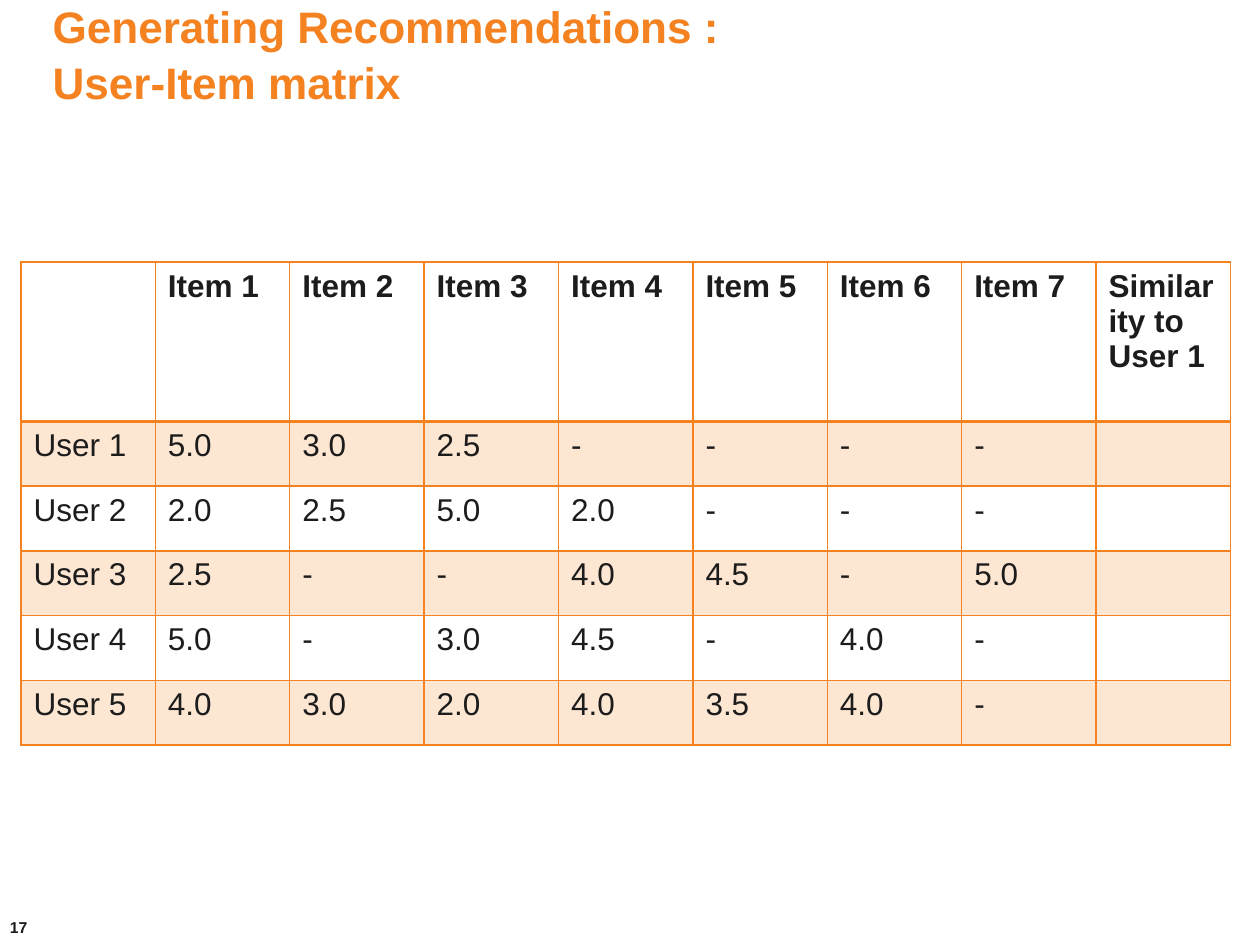
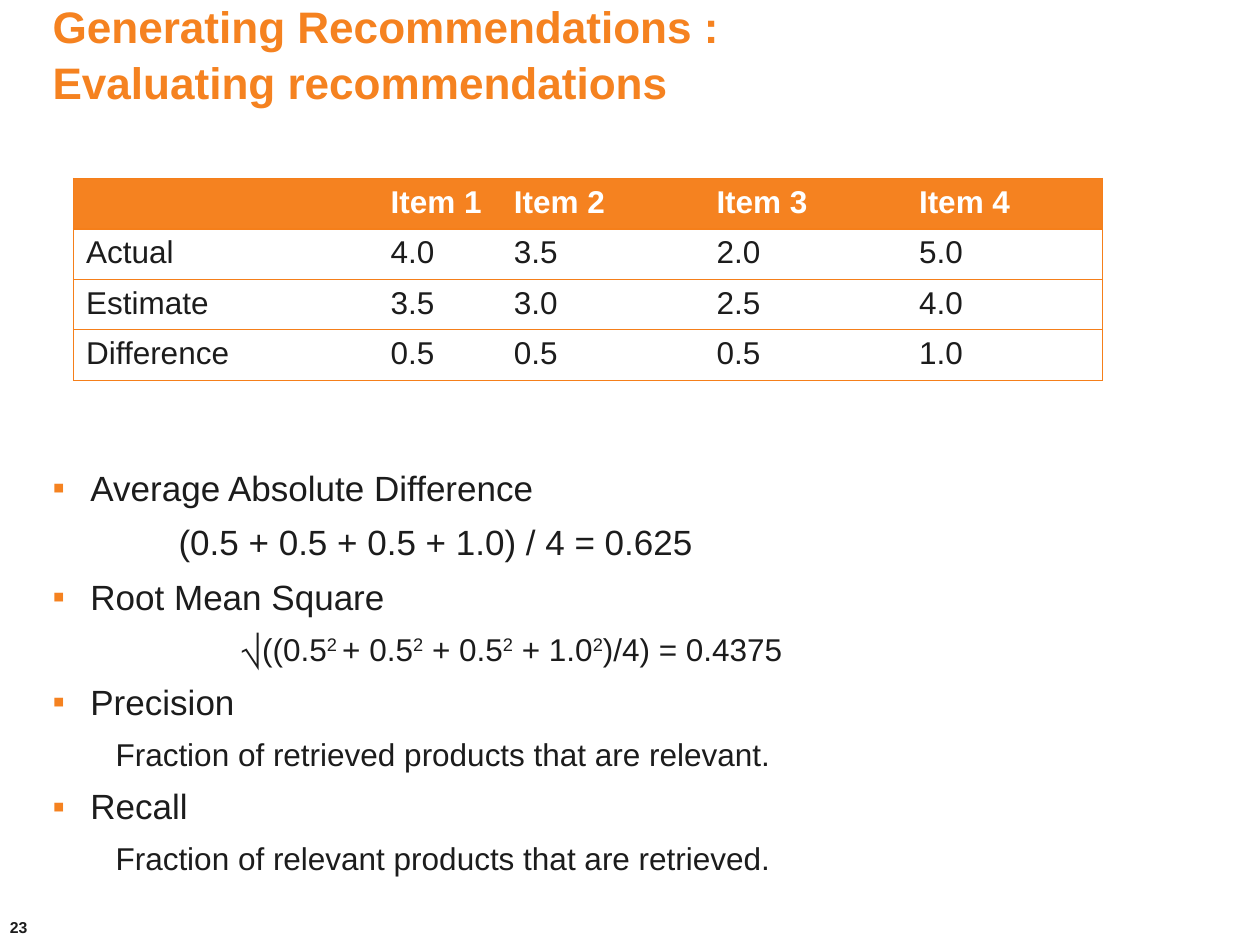
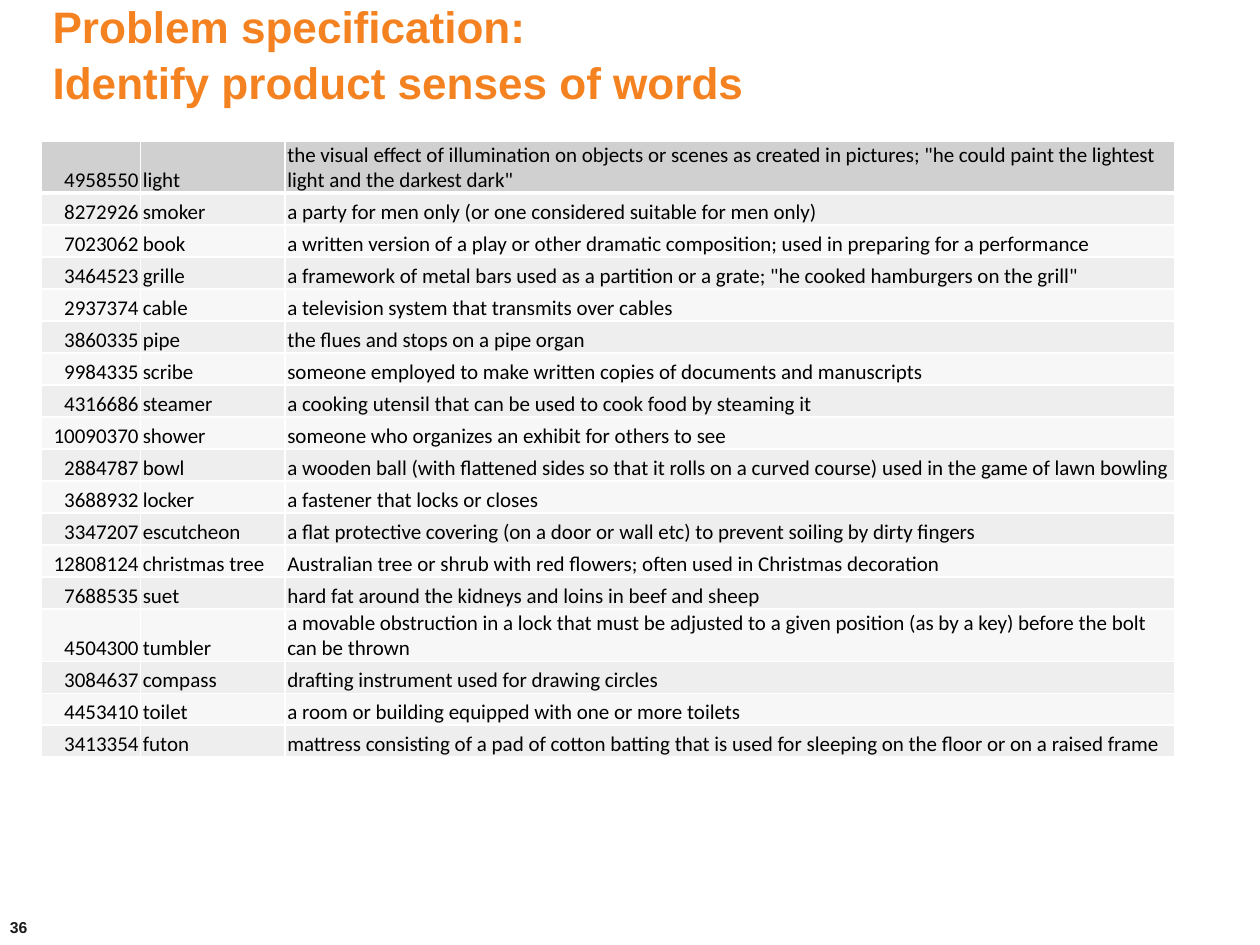
import pptx
import pptx.dml.color
import pptx.enum.text
import pptx.oxml
import pptx.oxml.ns
import pptx.util
from lxml import etree

Pt = pptx.util.Pt
ANCHOR = pptx.enum.text.MSO_ANCHOR
ALIGN = pptx.enum.text.PP_ALIGN

ORANGE, RULE_ORANGE, TINT = "F58220", "F57F1A", "FDE6D2"
INK, BLACK, WHITE = "1C1C1C", "000000", "FFFFFF"
SENSE_HEAD, SENSE_BANDS = "D0D0D0", ("EEEEEE", "F7F7F7")
LINE_SPACING = 1.05
CELL_INSETS = (7.2, 3.6, 7.2, 3.6)
SENSE_INSETS = (1.2, 0.7, 1.2, 0)

RATINGS = [
    ["", *[f"Item {number}" for number in range(1, 8)], "Similarity to User 1"],
    ["User 1", "5.0", "3.0", "2.5", "-", "-", "-", "-", ""],
    ["User 2", "2.0", "2.5", "5.0", "2.0", "-", "-", "-", ""],
    ["User 3", "2.5", "-", "-", "4.0", "4.5", "-", "5.0", ""],
    ["User 4", "5.0", "-", "3.0", "4.5", "-", "4.0", "-", ""],
    ["User 5", "4.0", "3.0", "2.0", "4.0", "3.5", "4.0", "-", ""],
]

ERRORS = [
    ["", "Item 1", "Item 2", "Item 3", "Item 4"],
    ["Actual", "4.0", "3.5", "2.0", "5.0"],
    ["Estimate", "3.5", "3.0", "2.5", "4.0"],
    ["Difference", "0.5", "0.5", "0.5", "1.0"],
]

# (indent, size, bulleted, text); "^" switches superscript on and off
METRICS = [
    (21.6, 20, True, "Average Absolute Difference"),
    (72, 20, False, "(0.5 + 0.5 + 0.5 + 1.0) / 4 = 0.625"),
    (21.6, 20, True, "Root Mean Square"),
    (108, 18, False, "⎷((0.5^2 ^+ 0.5^2^ + 0.5^2^ + 1.0^2^)/4) = 0.4375"),
    (21.6, 20, True, "Precision"),
    (36, 18, False, "Fraction of retrieved products that are relevant."),
    (21.6, 20, True, "Recall"),
    (36, 18, False, "Fraction of relevant products that are retrieved."),
]

SENSES = [
    ["4958550", "light", "the visual effect of illumination on objects or scenes as created in pictures; "
     "\"he could paint the lightest light and the darkest dark\""],
    ["8272926", "smoker", "a party for men only (or one considered suitable for men only)"],
    ["7023062", "book", "a written version of a play or other dramatic composition; "
     "used in preparing for a performance"],
    ["3464523", "grille", "a framework of metal bars used as a partition or a grate; "
     "\"he cooked hamburgers on the grill\""],
    ["2937374", "cable", "a television system that transmits over cables"],
    ["3860335", "pipe", "the flues and stops on a pipe organ"],
    ["9984335", "scribe", "someone employed to make written copies of documents and manuscripts"],
    ["4316686", "steamer", "a cooking utensil that can be used to cook food by steaming it"],
    ["10090370", "shower", "someone who organizes an exhibit for others to see"],
    ["2884787", "bowl", "a wooden ball (with flattened sides so that it rolls on a curved course) "
     "used in the game of lawn bowling"],
    ["3688932", "locker", "a fastener that locks or closes"],
    ["3347207", "escutcheon", "a flat protective covering (on a door or wall etc) "
     "to prevent soiling by dirty fingers"],
    ["12808124", "christmas tree", "Australian tree or shrub with red flowers; "
     "often used in Christmas decoration"],
    ["7688535", "suet", "hard fat around the kidneys and loins in beef and sheep"],
    ["4504300", "tumbler", "a movable obstruction in a lock that must be adjusted to a given position "
     "(as by a key) before the bolt can be thrown"],
    ["3084637", "compass", "drafting instrument used for drawing circles"],
    ["4453410", "toilet", "a room or building equipped with one or more toilets"],
    ["3413354", "futon", "mattress consisting of a pad of cotton batting that is used for sleeping "
     "on the floor or on a raised frame"],
]


def rgb(code):
    """Turn a hex string into a colour."""
    return pptx.dml.color.RGBColor.from_string(code)


def style(font, size, color, bold=False, face="Arial"):
    """Set the look of a font."""
    font.name, font.size, font.bold = face, Pt(size), bold
    font.color.rgb = rgb(color)


def add_child(parent, tag, **attributes):
    """Append a drawing element to a parent."""
    return etree.SubElement(parent, pptx.oxml.ns.qn(f"a:{tag}"), **attributes)


def add_text(slide, box, anchor):
    """Add a wrapping text frame in the box."""
    frame = slide.shapes.add_textbox(*map(Pt, box)).text_frame
    frame.word_wrap = True
    frame.vertical_anchor = anchor
    return frame


def add_slide(deck, title, number):
    """Add a slide with its title and page number."""
    slide = deck.slides.add_slide(deck.slide_layouts[6])
    heading = add_text(slide, (23, 0, 648, 59.8), ANCHOR.MIDDLE).paragraphs[0]
    heading.text = title
    heading.line_spacing = LINE_SPACING
    page = add_text(slide, (-1.4, 515.5, 168, 28.8), ANCHOR.MIDDLE).paragraphs[0]
    page.text = str(number)
    for run in heading.runs:
        style(run.font, 25.2, ORANGE, True)
    style(page.runs[0].font, 9, INK, True)
    return slide


def set_borders(cell, edges):
    """Draw the given (colour, width) edges in the order left, right, top, bottom."""
    properties = cell._tc.get_or_add_tcPr()
    for side, edge in zip("LRTB", edges):
        if edge:
            color, width = edge
            line = add_child(properties, f"ln{side}", w=str(Pt(width)))
            add_child(add_child(line, "solidFill"), "srgbClr", val=color)
        else:
            add_child(add_child(properties, f"ln{side}", w="0"), "noFill")


def add_grid(slide, box, rows, widths, heights, edges, fill, look, insets=CELL_INSETS, anchor=ANCHOR.TOP):
    """Add a table whose edges, fill and text look follow from the row and column."""
    grid = slide.shapes.add_table(len(rows), len(widths), *map(Pt, box)).table
    for column, width in zip(grid.columns, widths):
        column.width = Pt(width)
    for r, (row, height) in enumerate(zip(rows, heights)):
        grid.rows[r].height = Pt(height)
        for c, words in enumerate(row):
            cell = grid.cell(r, c)
            set_borders(cell, edges(r, c))
            cell.fill.solid()
            cell.fill.fore_color.rgb = rgb(fill(r))
            cell.margin_left, cell.margin_top, cell.margin_right, cell.margin_bottom = map(Pt, insets)
            cell.vertical_anchor = anchor
            cell.text = words
            style(cell.text_frame.paragraphs[0].font, **look(r))
            for run in cell.text_frame.paragraphs[0].runs:
                style(run.font, **look(r))
    return grid


def add_ratings(slide, box):
    """Add the user-item matrix."""
    left, top, width, height = box
    columns, users = len(RATINGS[0]), len(RATINGS) - 1
    header = height / 3
    thin, thick = (ORANGE, 1), (ORANGE, 2)
    add_grid(
        slide, box, RATINGS, [width / columns] * columns,
        [header - 1] + [(height - header + 1) / users] * users,
        lambda r, c: (thin, thin, thick if r == 1 else thin, thick if r == 0 else thin),
        lambda r: TINT if r % 2 else WHITE,
        lambda r: dict(size=18, color=INK, bold=r == 0))


def add_errors(slide, box):
    """Add the table of actual and estimated ratings."""
    left, top, width, height = box
    label, first, last = 174, 70.5, 112
    middle = (width - label - first - last) / 2
    rule = (RULE_ORANGE, 0.75)
    add_grid(
        slide, box, ERRORS, [label, first, middle, middle, last],
        [height / len(ERRORS)] * len(ERRORS),
        lambda r, c: (rule if c == 0 else None, rule if c == 4 else None, rule, rule),
        lambda r: WHITE if r else ORANGE,
        lambda r: dict(size=18, color=INK if r else WHITE, bold=r == 0))


def add_metrics(slide, box):
    """Add the list of evaluation measures."""
    frame = add_text(slide, box, ANCHOR.TOP)
    for index, (indent, size, bulleted, words) in enumerate(METRICS):
        measure = frame.add_paragraph() if index else frame.paragraphs[0]
        measure.line_spacing, measure.space_after = LINE_SPACING, Pt(6)
        properties = measure._p.get_or_add_pPr()
        properties.set("marL", str(Pt(indent)))
        properties.set("indent", str(Pt(-indent if bulleted else 0)))
        if bulleted:
            add_child(add_child(properties, "buClr"), "srgbClr", val=ORANGE)
            add_child(properties, "buFont", typeface="Arial")
            add_child(properties, "buChar", char="▪")
        else:
            add_child(properties, "buNone")
        for part, piece in enumerate(words.split("^")):
            run = measure.add_run()
            run.text = piece
            style(run.font, size, INK)
            if part % 2:
                run._r.get_or_add_rPr().set("baseline", "30000")


def add_senses(slide, box):
    """Add the table of word senses."""
    left, top, width, height = box
    number, word = 57, 82.6
    thin, thick = (WHITE, 1), (WHITE, 3)
    tall, tall_rows = 29.8, (0, 14)
    low = (height - tall * len(tall_rows)) / (len(SENSES) - len(tall_rows))
    grid = add_grid(
        slide, box, SENSES, [number, word, width - number - word],
        [tall if r in tall_rows else low for r in range(len(SENSES))],
        lambda r, c: (thin, thin, thick if r == 1 else thin, thick if r == 0 else thin),
        lambda r: SENSE_BANDS[(r - 1) % 2] if r else SENSE_HEAD,
        lambda r: dict(size=12, color=BLACK, face="Calibri"),
        SENSE_INSETS, ANCHOR.BOTTOM)
    for r in range(len(SENSES)):
        grid.cell(r, 0).text_frame.paragraphs[0].alignment = ALIGN.RIGHT


def main():
    """Build the deck."""
    deck = pptx.Presentation()
    deck.slide_width, deck.slide_height = Pt(720), Pt(540)
    matrix = add_slide(deck, "Generating Recommendations :\vUser-Item matrix", 17)
    add_ratings(matrix, (12, 149.8, 691.2, 276))
    evaluation = add_slide(deck, "Generating Recommendations :\vEvaluating recommendations", 23)
    add_metrics(evaluation, (23, 261.6, 648, 267))
    add_errors(evaluation, (42, 102, 588, 109.6))
    senses = add_slide(deck, "Problem specification:\vIdentify product senses of words", 36)
    add_senses(senses, (23.4, 80.6, 648, 352.2))
    deck.save("out.pptx")


if __name__ == "__main__":
    main()
